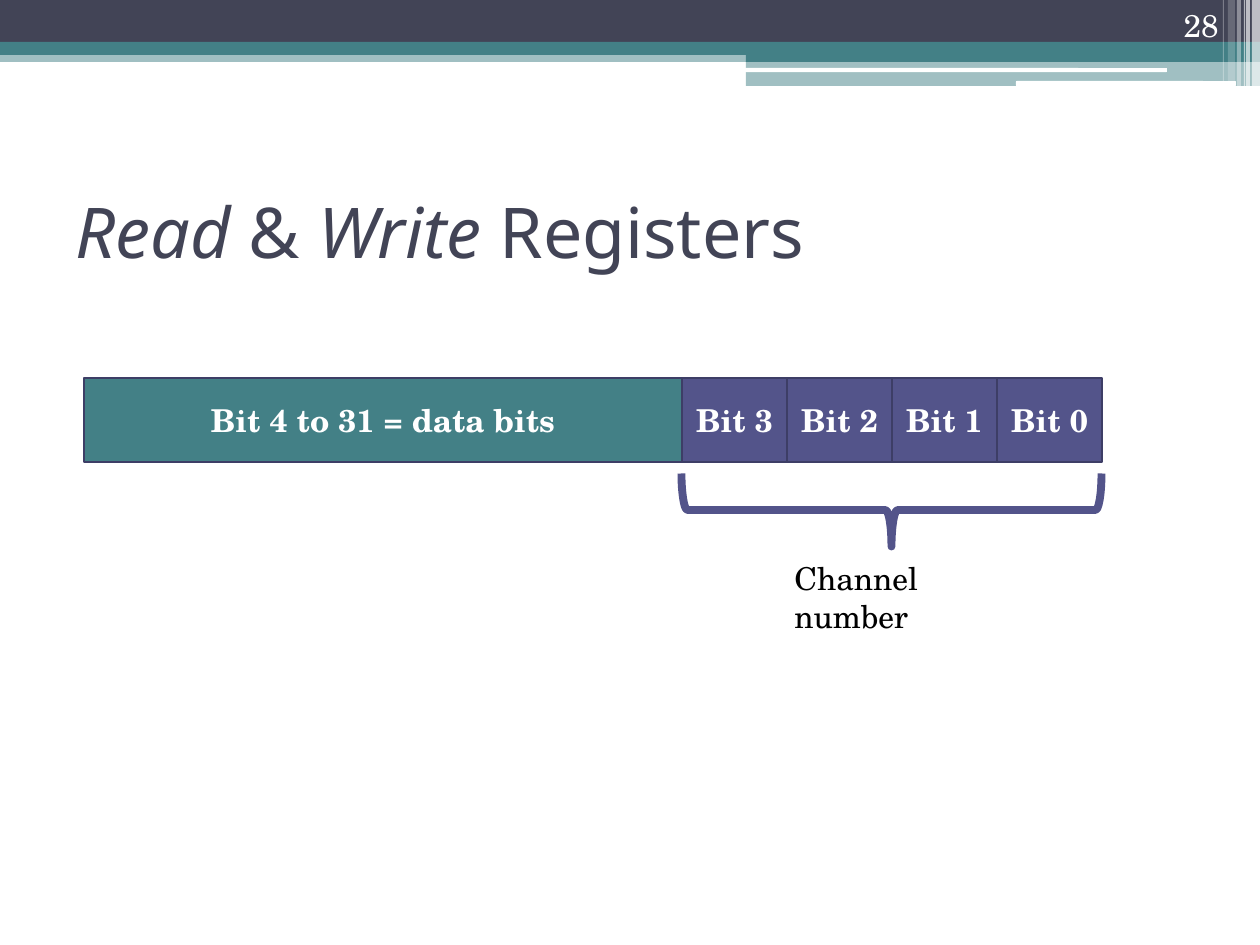
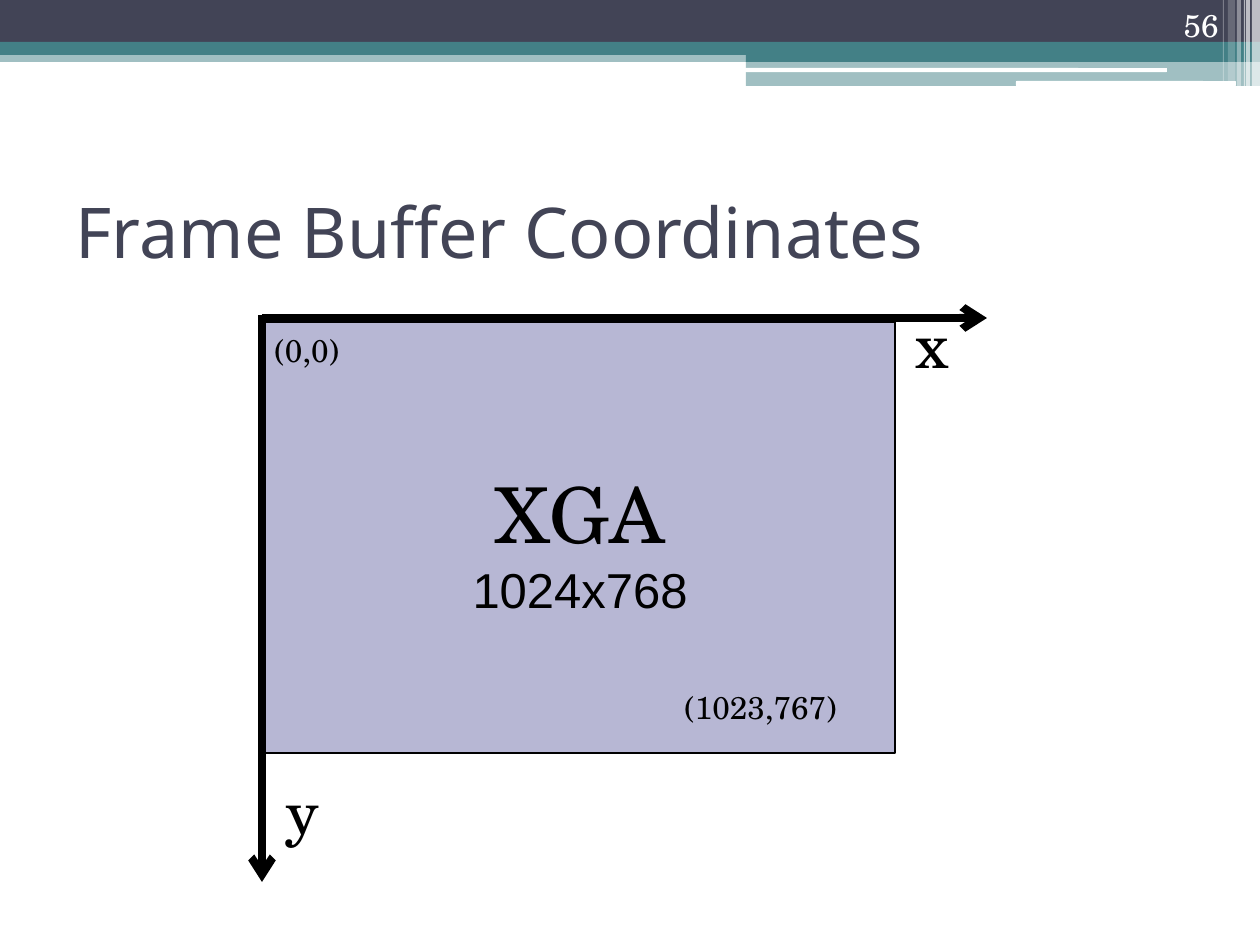
from lxml.etree import SubElement
from pptx import Presentation
from pptx.dml.color import RGBColor
from pptx.enum.shapes import MSO_CONNECTOR, MSO_SHAPE
from pptx.enum.text import MSO_ANCHOR, MSO_AUTO_SIZE, PP_ALIGN
from pptx.oxml.ns import qn
from pptx.util import Pt

PX = 914400 // 126
NAVY = RGBColor(0x42, 0x44, 0x56)
TEAL = RGBColor(0x43, 0x80, 0x86)
VIOLET = RGBColor(0x53, 0x54, 0x8A)
LILAC = RGBColor(0xB7, 0xB7, 0xD4)
EDGE = RGBColor(0x3D, 0x3E, 0x66)
WHITE = RGBColor(0xFF, 0xFF, 0xFF)
BLACK = RGBColor(0, 0, 0)
HEAD, BODY, SANS = "Noto Sans", "TeX Gyre Schola", "Arial"
RECT, ROUND = MSO_SHAPE.RECTANGLE, MSO_SHAPE.ROUNDED_RECTANGLE

# left, top, width, height, kind, colour, opacity in percent
BANDS = [
    (0, 50, 1260, 12, RECT, TEAL, 50),
    (0, 0, 1260, 42, RECT, NAVY, 100),
    (0, 42, 1260, 13, RECT, TEAL, 100),
    (746, 49, 514, 13, RECT, TEAL, 100),
    (746, 61, 514, 25, RECT, TEAL, 50),
    (745, 68, 422, 4, ROUND, WHITE, 100),
    (1016, 81, 220, 5, ROUND, WHITE, 100),
]
# left, width, height, opacity of the upright stripes
STRIPES = [(1252, 8, 86, 65), (1246, 4, 86, 65), (1244, 1, 86, 60),
           (1237, 4, 86, 40), (1228, 7, 81, 20), (1223, 1, 81, 30)]


def scale(*sizes):
    """Turn pixels into EMU."""
    return [size * PX for size in sizes]


def add_run(para, text, size, color=BLACK, font=BODY, bold=False, italic=False):
    """Add one formatted run to a paragraph."""
    run = para.add_run()
    run.text = text
    face = run.font
    face.size, face.name = Pt(size), font
    face.bold, face.italic = bold, italic
    face.color.rgb = color


def add_form(slide, kind, box, fill=None, line=None, width=1.5):
    """Add a flat preset shape with an optional fill and outline."""
    form = slide.shapes.add_shape(kind, *scale(*box))
    form.shadow.inherit = False
    if fill is None:
        form.fill.background()
    else:
        form.fill.solid()
        form.fill.fore_color.rgb = fill
    if line is None:
        form.line.fill.background()
    else:
        form.line.color.rgb = line
        form.line.width = Pt(width)
    return form


def add_label(slide, box, text, size, color=BLACK, wrap=False,
              align=PP_ALIGN.LEFT, anchor=MSO_ANCHOR.TOP):
    """Add a text box holding a single run."""
    frame = slide.shapes.add_textbox(*scale(*box)).text_frame
    frame.word_wrap = wrap
    frame.vertical_anchor = anchor
    para = frame.paragraphs[0]
    para.alignment = align
    add_run(para, text, size, color)


def add_arrow(slide, start, end):
    """Draw a thick black axis with an arrowhead at its end."""
    line = slide.shapes.add_connector(MSO_CONNECTOR.STRAIGHT,
                                      *scale(*start, *end))
    line.line.color.rgb = BLACK
    line.line.width = Pt(4.5)
    SubElement(line.line._get_or_add_ln(), qn("a:tailEnd"), type="arrow")
    SubElement(line.element.spPr, qn("a:effectLst"))


def dress_master(deck, slide):
    """Draw the top bands on a slide, then move them to the master."""
    tree = deck.slide_master.element.cSld.spTree
    stripes = [(left, 0, width, height, RECT, WHITE, alpha)
               for left, width, height, alpha in STRIPES]
    for spot, (*box, kind, color, alpha) in enumerate(BANDS + stripes, 2):
        band = add_form(slide, kind, box, color)
        if alpha < 100:
            tint = band.element.spPr.find(".//" + qn("a:srgbClr"))
            SubElement(tint, qn("a:alpha"), val=str(alpha * 1000))
        tree.insert(spot, band.element)


def add_page(deck, number, title):
    """Add a slide with its title runs and page number."""
    slide = deck.slides.add_slide(deck.slide_layouts[5])
    head = slide.shapes.title
    head.left, head.top, head.width, head.height = scale(63, 157, 1134, 148)
    frame = head.text_frame
    frame.auto_size = MSO_AUTO_SIZE.NONE
    frame.vertical_anchor = MSO_ANCHOR.MIDDLE
    para = frame.paragraphs[0]
    para.alignment = PP_ALIGN.LEFT
    for text, italic in title:
        add_run(para, text, 40, NAVY, HEAD, italic=italic)
    add_label(slide, (1126, 0, 105, 50), number, 18, WHITE, True,
              PP_ALIGN.RIGHT, MSO_ANCHOR.BOTTOM)
    return slide


def draw_bits(slide, left, top, wide, cell, height):
    """Draw the register: one data field, then four channel bits."""
    fields = [("Bit 4 to 31 = data bits", left, wide, TEAL)]
    start = left + wide
    fields += [(f"Bit {3 - i}", start + i * cell, cell, VIOLET)
               for i in range(4)]
    for text, x, width, fill in fields:
        field = add_form(slide, RECT, (x, top, width, height), fill, EDGE)
        frame = field.text_frame
        frame.margin_left = frame.margin_right = 0
        frame.vertical_anchor = MSO_ANCHOR.MIDDLE
        para = frame.paragraphs[0]
        para.alignment = PP_ALIGN.CENTER
        add_run(para, text, 18, WHITE, bold=True)
    draw_brace(slide, start, top + height + 11, 4 * cell, 73)


def draw_brace(slide, left, top, width, height):
    """Draw a brace that points down at its label."""
    shift = (width - height) // 2
    brace = add_form(slide, MSO_SHAPE.LEFT_BRACE,
                     (left + shift, top - shift, height, width),
                     line=VIOLET, width=4.5)
    brace.rotation = 270
    add_label(slide, (left + 100, top + height + 7, 262, 88),
              "Channel number", 18, wrap=True)


def draw_screen(slide, left, top, width, height):
    """Draw the frame buffer with its axes and corner points."""
    add_arrow(slide, (left - 3, top - 4), (left + 722, top - 4))
    add_arrow(slide, (left - 3, top - 7), (left - 3, top + 560))
    add_label(slide, (left + 638, top - 23, 57, 89), "x", 36)
    add_label(slide, (left + 8, top + 444, 57, 89), "y", 36)
    area = add_form(slide, RECT, (left, top, width, height),
                    LILAC, BLACK, 0.75)
    frame = area.text_frame
    frame.vertical_anchor = MSO_ANCHOR.TOP
    frame.margin_top = 145 * PX
    name, size = frame.paragraphs[0], frame.add_paragraph()
    name.alignment = size.alignment = PP_ALIGN.CENTER
    add_run(name, "XGA", 44)
    add_run(size, "1024x768", 28, font=SANS)
    add_label(slide, (left - 3, top + 3, 112, 63), "(0,0)", 18)
    add_label(slide, (left + 407, top + 360, 230, 63), "(1023,767)", 18)


def main():
    """Build and save both slides."""
    deck = Presentation()
    deck.slide_width, deck.slide_height = scale(1260, 945)
    first = add_page(deck, "28", [("Read", True), (" & ", False),
                                  ("Write", True), (" Registers", False)])
    dress_master(deck, first)
    draw_bits(first, 84, 378, 598, 105, 84)
    second = add_page(deck, "56", [("Frame Buffer Coordinates", False)])
    draw_screen(second, 265, 322, 630, 431)
    deck.save("out.pptx")


main()
